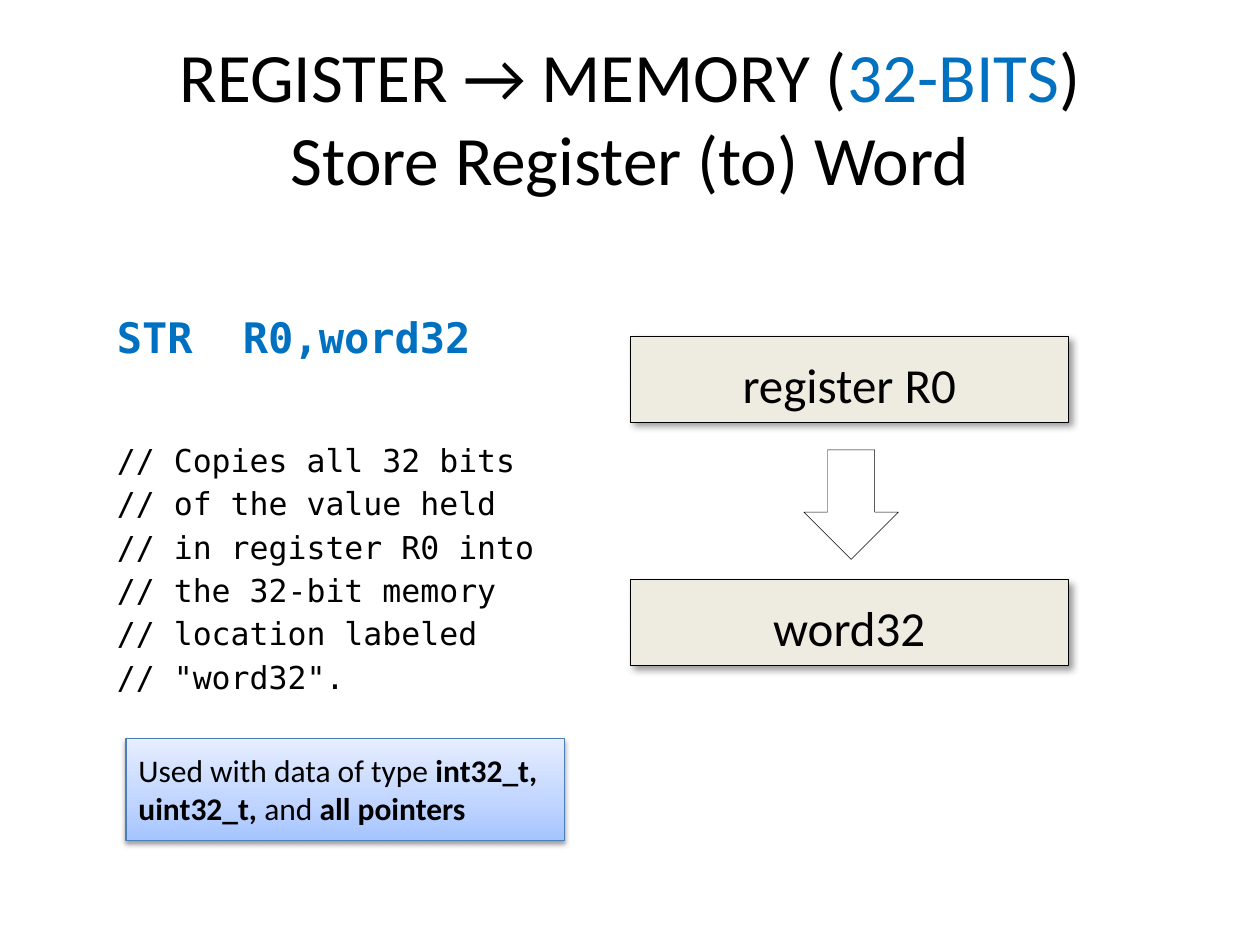
from copy import deepcopy

from lxml import etree
from pptx import Presentation
from pptx import util as u
from pptx.dml import color
from pptx.enum import shapes, text
from pptx.oxml import ns

COLORS = {
    "black": "000000",
    "white": "FFFFFF",
    "blue": "0070C0",
    "beige": "EEECE1",
    "note_line": "4B7EBC",
}
NOTE_STOPS = [(0, "A4C4FF"), (0.35, "BFD4FF"), (1, "E6EEFF")]
BODY, MONO = "Calibri", "DejaVu Sans Mono"


def add_span(para, words, size=18, font=BODY, ink="black", bold=False):
    span = para.add_run()
    span.text = words
    span.font.size = u.Pt(size)
    span.font.name = font
    span.font.bold = bold
    span.font.color.rgb = color.RGBColor.from_string(COLORS[ink])


def add_box(page, kind, left, top, width, height, fill=None, line="black", weight=0.25, shadow=None):
    box = page.shapes.add_shape(kind, u.Inches(left), u.Inches(top), u.Inches(width), u.Inches(height))
    box.line.color.rgb = color.RGBColor.from_string(COLORS[line])
    box.line.width = u.Pt(weight)
    if fill:
        box.fill.solid()
        box.fill.fore_color.rgb = color.RGBColor.from_string(COLORS[fill])
    box.shadow.inherit = False
    if shadow:
        alpha, blur, distance, angle = shadow
        effects = box._element.spPr.find(ns.qn("a:effectLst"))
        outer = etree.SubElement(
            effects, ns.qn("a:outerShdw"), blurRad=str(u.Pt(blur)), dist=str(u.Pt(distance)),
            dir=str(angle * 60000), algn="tl", rotWithShape="0")
        tint = etree.SubElement(outer, ns.qn("a:srgbClr"), val=COLORS["black"])
        etree.SubElement(tint, ns.qn("a:alpha"), val=str(alpha * 1000))
    box.text_frame.word_wrap = True
    return box


deck = Presentation()
deck.slide_width, deck.slide_height = u.Inches(10), u.Inches(7.5)
page = deck.slides.add_slide(deck.slide_layouts[5])

title = page.shapes.title
title.left, title.top = u.Inches(0.5), u.Inches(0.3)
title.width, title.height = u.Inches(9), u.Inches(1.25)
title.text_frame.vertical_anchor = text.MSO_ANCHOR.MIDDLE
title.text_frame.auto_size = text.MSO_AUTO_SIZE.NONE
para = title.text_frame.paragraphs[0]
para.alignment = text.PP_ALIGN.CENTER
add_span(para, "REGISTER → MEMORY (", size=39.6)
add_span(para, "32-BITS", size=39.6, ink="blue")
add_span(para, ")", size=39.6)
para.add_line_break()
add_span(para, "Store Register (to) Word", size=39.6)

code = page.shapes.add_textbox(u.Inches(0.83), u.Inches(2.42), u.Inches(3.67), u.Inches(3.5))
code.text_frame.word_wrap = True
add_span(code.text_frame.paragraphs[0], "STR\tR0,word32", size=24, font=MONO, ink="blue", bold=True)
comments = [
    "// Copies all 32 bits",
    "// of the value held",
    "// in register R0 into",
    "// the 32-bit memory",
    "// location labeled",
    '// "word32".',
]
for index, comment in enumerate(comments):
    para = code.text_frame.add_paragraph()
    para.line_spacing = 1.15
    para.space_before = u.Pt(0 if index else 42)
    add_span(para, comment, font=MONO)

rectangle = shapes.MSO_SHAPE.RECTANGLE
for label, top in [("word32", 4.6), ("register R0", 2.67)]:
    box = add_box(page, rectangle, 5, top, 3.48, 0.68, fill="beige", shadow=(40, 4, 3, 45))
    box.text_frame.vertical_anchor = text.MSO_ANCHOR.MIDDLE
    para = box.text_frame.paragraphs[0]
    para.alignment = text.PP_ALIGN.CENTER
    para.line_spacing = 1.15
    add_span(para, label, size=28)
arrow = add_box(page, shapes.MSO_SHAPE.DOWN_ARROW, 6.38, 3.57, 0.75, 0.87, fill="white")

note = add_box(page, rectangle, 1, 5.86, 3.48, 0.81, line="note_line", weight=0.75, shadow=(38, 3.1, 1.6, 90))
note.fill.gradient()
note.fill.gradient_angle = 90
stop_list = note._element.spPr.find(".//" + ns.qn("a:gsLst"))
stop_list.insert(1, deepcopy(stop_list[0]))
for stop, (position, shade) in zip(note.fill.gradient_stops, NOTE_STOPS):
    stop.position = position
    stop.color.rgb = color.RGBColor.from_string(shade)
frame = note.text_frame
frame.margin_left = frame.margin_right = frame.margin_top = frame.margin_bottom = u.Inches(0.1)
frame.vertical_anchor = text.MSO_ANCHOR.TOP
para = frame.paragraphs[0]
para.alignment = text.PP_ALIGN.LEFT
for words, bold in [("Used with data of type ", False), ("int32_t, uint32_t, ", True),
                    ("and", False), (" all pointers", True)]:
    add_span(para, words, bold=bold)

deck.save("out.pptx")
